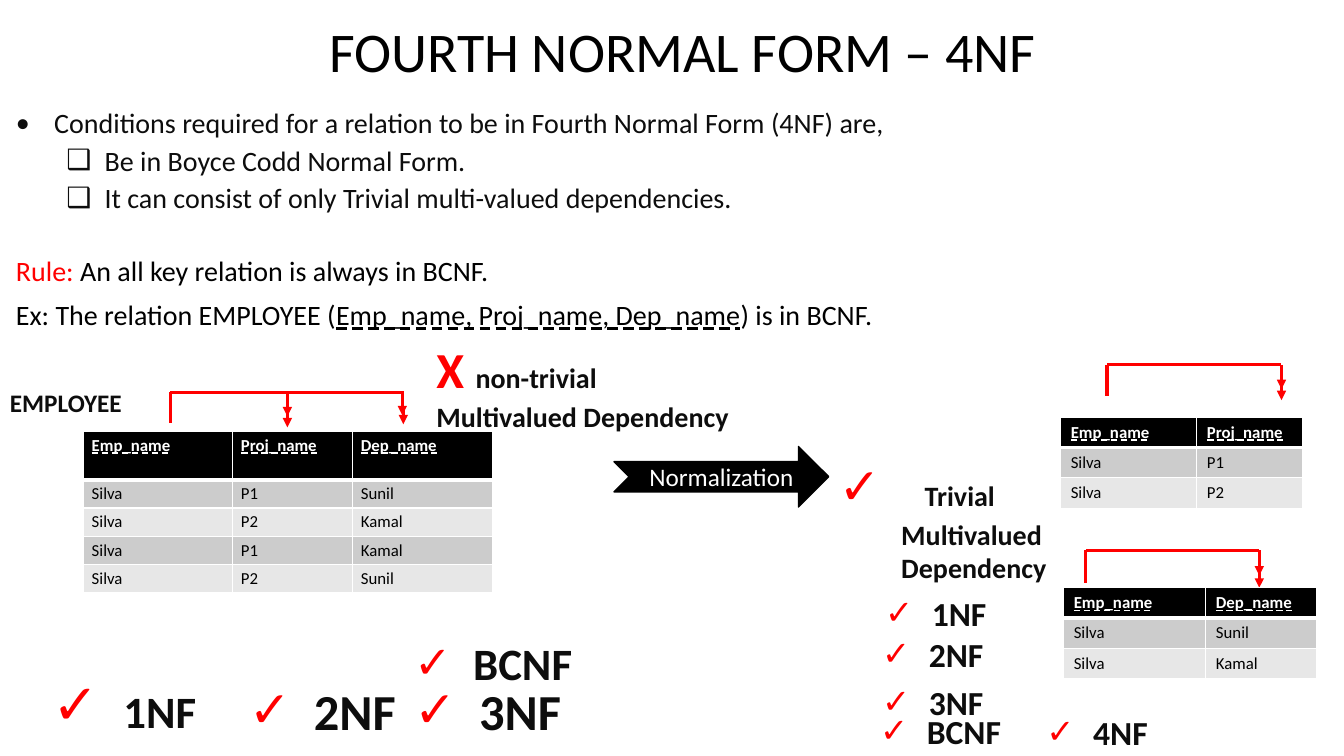
from lxml import etree
from pptx import Presentation
from pptx import util as u
from pptx.dml.color import RGBColor
from pptx.enum import shapes, text
from pptx.oxml import ns

COLORS = {"black": "000000", "ink": "0D0D0D", "red": "FF0000", "white": "FFFFFF",
          "band": "CCCCCC", "pale": "E7E7E7"}
FONT = "Calibri"
DASHED = text.MSO_UNDERLINE.DASH_LINE


def rgb(name):
    return RGBColor.from_string(COLORS[name])


def add_xml(parent, tag, **attributes):
    return etree.SubElement(parent, ns.qn(tag), attributes)


def add_span(para, words, size=20, color="ink", bold=False, underline=False):
    """Add a run for each line of words, with a line break between them."""
    for index, line in enumerate(words.split("\n")):
        if index:
            para.add_line_break()
        span = para.add_run()
        span.text = line
        span.font.name = FONT
        span.font.size = u.Pt(size)
        span.font.bold = bold
        span.font.underline = underline
        span.font.color.rgb = rgb(color)


def add_text(page, at, paragraphs, anchor=text.MSO_ANCHOR.TOP):
    """Each paragraph is (spans, options); each span is (words, format)."""
    box = page.shapes.add_textbox(*map(u.Inches, at))
    frame = box.text_frame
    frame.word_wrap = True
    frame.vertical_anchor = anchor
    for index, (spans, options) in enumerate(paragraphs):
        para = frame.add_paragraph() if index else frame.paragraphs[0]
        format_paragraph(para, **options)
        for words, style in spans:
            add_span(para, words, **style)


def format_paragraph(para, align=None, spacing=None, before=None, margin=0, hang=0,
                     bullet=None, bullet_color="ink"):
    para.alignment = align
    para.line_spacing = spacing
    if before is not None:
        para.space_before = u.Pt(before)
    props = para._p.get_or_add_pPr()
    props.set("marL", str(u.Inches(margin)))
    props.set("indent", str(-u.Inches(hang)))
    if bullet:
        color = add_xml(props, "a:buClr")
        add_xml(color, "a:srgbClr", val=COLORS[bullet_color])
        add_xml(props, "a:buFont", typeface=FONT)
        add_xml(props, "a:buChar", char=bullet)


def check_options(indent):
    return dict(margin=indent, hang=indent, bullet="✓", bullet_color="red")


def add_check(page, left, top, words, size, mark_size=None):
    """A ticked normal form; the gap grows with the size of the tick."""
    mark_size = mark_size or size
    spans = [(" ", dict(size=mark_size, color="red", bold=True)),
             (words, dict(size=size, bold=True))]
    height = 0.1 + mark_size * 0.016
    add_text(page, (left, top, 2.02, height),
             [(spans, check_options(0.1 + 0.012 * mark_size))])


def add_line(page, start, end, arrow=False):
    line = page.shapes.add_connector(shapes.MSO_CONNECTOR.STRAIGHT,
                                     *map(u.Inches, start + end))
    line.line.color.rgb = rgb("red")
    line.line.width = u.Pt(2.25)
    if arrow:
        add_xml(line.line._get_or_add_ln(), "a:tailEnd", type="triangle")
    add_xml(line._element.spPr, "a:effectLst")


def add_dependency(page, left, right, top, stem_end, arrows):
    """A bracket from the determinant to its dependents, with double arrowheads."""
    add_line(page, (left, top), (right, top))
    add_line(page, (left, top), (left, stem_end))
    for x, start, tip in arrows:
        add_line(page, (x, start), (x, tip), arrow=True)


def set_borders(cell, bottom):
    props = cell._tc.get_or_add_tcPr()
    for side, width in (("L", 1), ("R", 1), ("T", 1), ("B", bottom)):
        line = add_xml(props, "a:ln" + side, w=str(u.Pt(width)))
        fill = add_xml(line, "a:solidFill")
        add_xml(fill, "a:srgbClr", val=COLORS["white"])


def add_relation(page, left, top, widths, rows, header_height=0.3, row_height=0.3,
                 inset=(0.1, 0.05)):
    height = header_height + row_height * (len(rows) - 1)
    table = page.shapes.add_table(len(rows), len(widths), u.Inches(left), u.Inches(top),
                                  u.Inches(sum(widths)), u.Inches(height)).table
    for column, width in zip(table.columns, widths):
        column.width = u.Inches(width)
    for r, row in enumerate(rows):
        header = r == 0
        table.rows[r].height = u.Inches(header_height if header else row_height)
        for c, words in enumerate(row):
            cell = table.cell(r, c)
            cell.margin_left = cell.margin_right = u.Inches(inset[0])
            cell.margin_top = cell.margin_bottom = u.Inches(inset[1])
            set_borders(cell, bottom=3 if header else 1)
            cell.fill.solid()
            cell.fill.fore_color.rgb = rgb("black" if header else "band" if r % 2 else "pale")
            add_span(cell.text_frame.paragraphs[0], words, size=12, bold=header,
                     color="white" if header else "black",
                     underline=DASHED if header else False)


def add_arrow_label(page, at, words):
    arrow = page.shapes.add_shape(shapes.MSO_SHAPE.NOTCHED_RIGHT_ARROW, *map(u.Inches, at))
    arrow.shadow.inherit = False
    arrow.fill.solid()
    arrow.fill.fore_color.rgb = rgb("black")
    arrow.line.color.rgb = rgb("black")
    arrow.line.width = u.Pt(1)
    arrow.text_frame.word_wrap = False
    arrow.text_frame.vertical_anchor = text.MSO_ANCHOR.MIDDLE
    para = arrow.text_frame.paragraphs[0]
    para.alignment = text.PP_ALIGN.CENTER
    add_span(para, words, size=18, color="white")


def main():
    deck = Presentation()
    deck.slide_width, deck.slide_height = u.Inches(13.33), u.Inches(7.5)
    page = deck.slides.add_slide(deck.slide_layouts[6])

    # Title and conditions
    add_text(page, (0.22, 0.07, 13.1, 0.82),
             [([("FOURTH NORMAL FORM – 4NF", dict(size=40, color="black"))],
               dict(align=text.PP_ALIGN.CENTER, spacing=0.9))], text.MSO_ANCHOR.BOTTOM)
    top_level = dict(spacing=0.9, before=10, margin=0.38, hang=0.38, bullet="•")
    sub_level = dict(spacing=0.9, before=5, margin=0.88, hang=0.38, bullet="❑")
    add_text(page, (0.06, 1.04, 13.2, 1.3), [
        ([("Conditions required for a relation to be in Fourth Normal Form (4NF) are,", {})],
         top_level),
        ([("Be in Boyce Codd Normal Form.", {})], sub_level),
        ([("It can consist of only Trivial multi-valued dependencies.", {})], sub_level)])

    # Rule and example
    plain, black = dict(spacing=0.9, before=10), dict(color="black")
    add_text(page, (0.06, 2.5, 13.2, 0.9), [
        ([("Rule:", dict(color="red")), (" An all key relation is always in BCNF.", black)], plain),
        ([("Ex: The relation EMPLOYEE (", black),
          ("Emp_name, Proj_name, Dep_name", dict(color="black", underline=DASHED)),
          (") is in BCNF.", black)], plain)])

    # Relation before normalization
    add_text(page, (0, 3.79, 2.65, 0.4), [([("EMPLOYEE", dict(size=18, bold=True))], {})])
    add_text(page, (4.23, 3.31, 3.2, 1.04), [
        ([("X ", dict(size=36, color="red", bold=True)),
          ("non-trivial\nMultivalued Dependency", dict(bold=True))], {})])
    add_dependency(page, 1.69, 4.01, 3.89, 4.2,
                   [(2.85, 3.91, 4.13), (2.85, 3.96, 4.24), (3.99, 3.89, 4.12), (4, 4.03, 4.21)])
    add_relation(page, 0.83, 4.28, (1.48, 1.19, 1.39),
                 [("Emp_name", "Proj_name", "Dep_name"), ("Silva", "P1", "Sunil"),
                  ("Silva", "P2", "Kamal"), ("Silva", "P1", "Kamal"), ("Silva", "P2", "Sunil")],
                 header_height=0.48, row_height=0.28, inset=(0.08, 0.04))
    add_check(page, 0.42, 6.62, "1NF", 32, mark_size=40)
    add_check(page, 2.37, 6.7, "2NF", 36)
    add_check(page, 4.01, 6.7, "3NF", 36)
    add_check(page, 4.01, 6.26, "BCNF", 32)

    # Normalization step
    add_arrow_label(page, (6.09, 4.43, 2.13, 0.6), "Normalization")

    # Relations after normalization
    add_text(page, (8.22, 4.48, 3.2, 1.38), [
        ([(" ", dict(size=36, color="red", bold=True)), ("Trivial", dict(bold=True))],
         check_options(0.74)),
        ([("Multivalued\nDependency", dict(bold=True))], dict(margin=0.62))])
    add_dependency(page, 10.98, 12.71, 3.62, 3.93, [(12.71, 3.62, 3.86), (12.71, 3.72, 3.97)])
    add_relation(page, 10.52, 4.14, (1.35, 1.05),
                 [("Emp_name", "Proj_name"), ("Silva", "P1"), ("Silva", "P2")])
    add_dependency(page, 10.77, 12.49, 5.46, 5.78, [(12.49, 5.46, 5.71), (12.49, 5.59, 5.83)])
    add_relation(page, 10.55, 5.83, (1.41, 1.1),
                 [("Emp_name", "Dep_name"), ("Silva", "Sunil"), ("Silva", "Kamal")])
    for left, top, form in ((8.68, 5.83, "1NF"), (8.65, 6.24, "2NF"), (8.65, 6.72, "3NF"),
                            (8.63, 7, "BCNF"), (10.28, 7.01, "4NF")):
        add_check(page, left, top, form, 24)

    deck.save("out.pptx")


if __name__ == "__main__":
    main()
